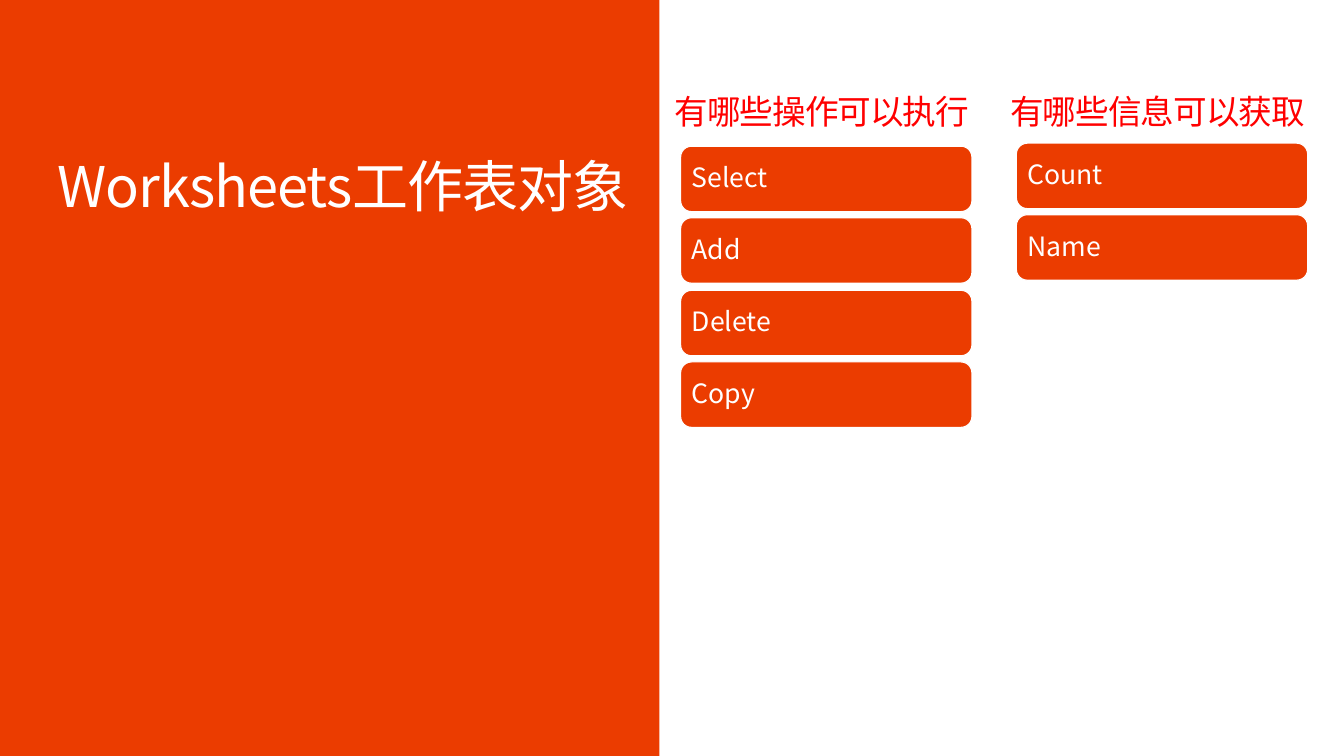
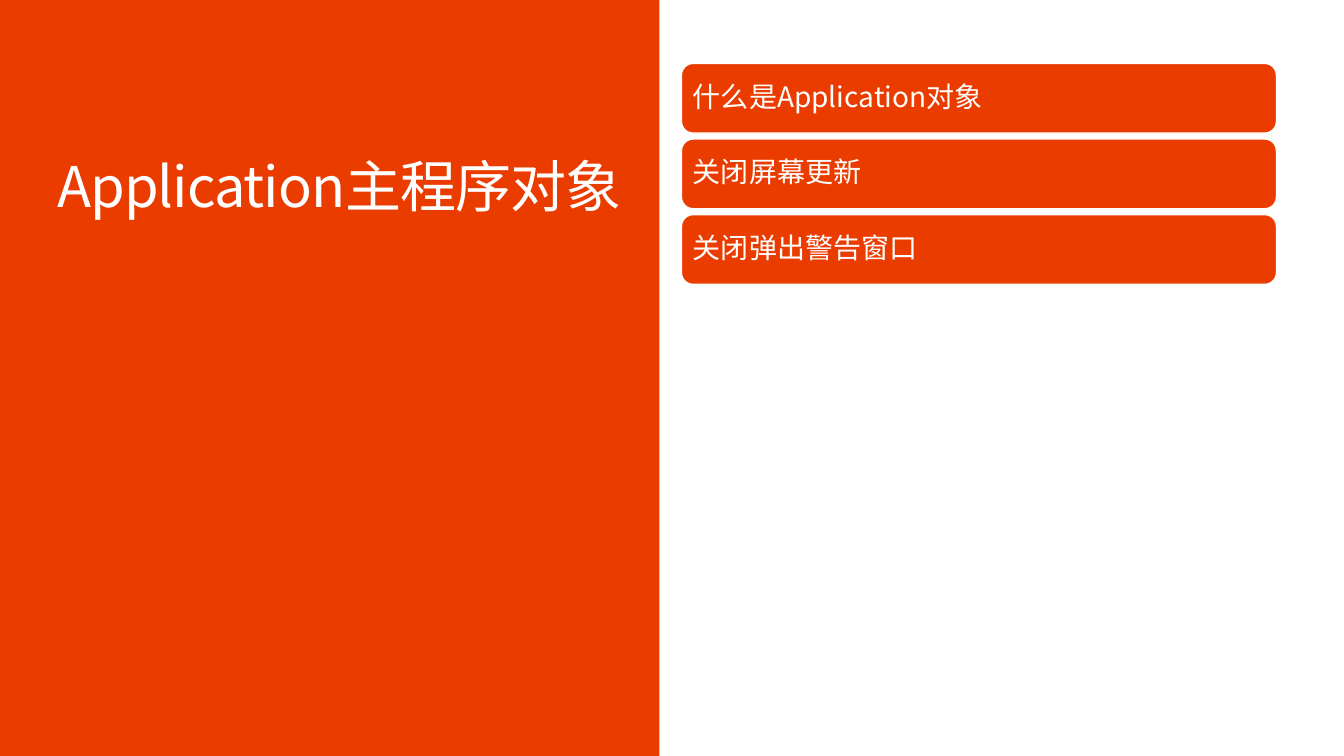
from pptx import Presentation
from pptx.dml.color import RGBColor as RGB
from pptx.enum.shapes import MSO_SHAPE as SHAPE
from pptx.enum.text import MSO_ANCHOR as ANCHOR, PP_ALIGN as ALIGN
from pptx.oxml.ns import qn
from pptx.util import Emu, Pt
from lxml.etree import SubElement

PX = 9144  # 100 px to the inch
W, H = 1333, 750
FONT = "Noto Sans CJK SC"
COLORS = {"accent": "EB3C00", "white": "FFFFFF", "heading": "FF0000"}
TITLE = {"size": 40, "color": "white", "spacing": -70, "line": 0.9}
HEADING = {"size": 24, "color": "heading", "spacing": -70, "line": 1.0}
LABEL = {"size": 19, "color": "white", "spacing": 0, "line": 0.9}


def px(*values):
    return [Emu(v * PX) for v in values]


def color(name):
    return RGB.from_string(COLORS[name])


def write(sp, text, style, inset=0, anchor=ANCHOR.TOP, wrap=True):
    tf = sp.text_frame
    frame = {"word_wrap": wrap, "vertical_anchor": anchor}
    for side in ("left", "top", "right", "bottom"):
        frame["margin_" + side] = Emu(inset * PX)
    for name, value in frame.items():
        setattr(tf, name, value)
    p = tf.paragraphs[0]
    p.alignment, p.line_spacing = ALIGN.LEFT, style["line"]
    r = p.add_run()
    r.text = text
    for name, value in {"name": FONT, "size": Pt(style["size"])}.items():
        setattr(r.font, name, value)
    r.font.color.rgb = color(style["color"])
    rpr = r.font._element
    rpr.set("spc", str(style["spacing"]))
    SubElement(rpr, qn("a:ea")).set("typeface", FONT)


def add_box(s, kind, box):
    sp = s.shapes.add_shape(kind, *px(*box))
    sp.shadow.inherit = False
    sp.fill.solid()
    sp.fill.fore_color.rgb = color("accent")
    sp.line.fill.background()
    return sp


def title_panel(s, text, box):
    """Coloured half with the slide title."""
    x, y, w, h = box
    add_box(s, SHAPE.RECTANGLE, box)
    write(s.shapes.add_textbox(*px(x + 58, y + 158, w - 83, 182)), text, TITLE)


def bar_list(s, items, box, gap, size):
    """Stack of equal rounded bars that fills the box."""
    x, y, w, h = box
    pitch = (h + gap) / len(items)
    for i, item in enumerate(items):
        top = round(y + i * pitch)
        bar = add_box(s, SHAPE.ROUNDED_RECTANGLE, (x, top, w, round(pitch - gap)))
        bar.line.color.rgb = color("white")
        bar.line.width = Pt(0.85)
        write(bar, item, {**LABEL, "size": size}, inset=8, anchor=ANCHOR.MIDDLE)


def column_heading(s, text, box):
    write(s.shapes.add_textbox(*px(*box)), text, HEADING, wrap=False)


def add_slide(prs, title, columns):
    s = prs.slides.add_slide(prs.slide_layouts[6])
    title_panel(s, title, (-1, 0, 655, H))
    for col in columns:
        if "heading" in col:
            x = col["box"][0]
            column_heading(s, col["heading"], (x - 6, 90, 294, 40))
        bar_list(s, col["items"], col["box"], col["gap"], col["size"])


def main():
    prs = Presentation()
    prs.slide_width, prs.slide_height = px(W, H)
    add_slide(prs, "Worksheets工作表对象", [
        {"heading": "有哪些操作可以执行", "items": ["Select", "Add", "Delete", "Copy"],
         "box": (675, 145, 289, 279), "gap": 6, "size": 19},
        {"heading": "有哪些信息可以获取", "items": ["Count", "Name"],
         "box": (1008, 142, 289, 136), "gap": 6, "size": 19},
    ])
    add_slide(prs, "Application主程序对象", [
        {"items": ["什么是Application对象", "关闭屏幕更新", "关闭弹出警告窗口"],
         "box": (676, 63, 590, 219), "gap": 6, "size": 20},
    ])
    prs.save("out.pptx")


if __name__ == "__main__":
    main()
